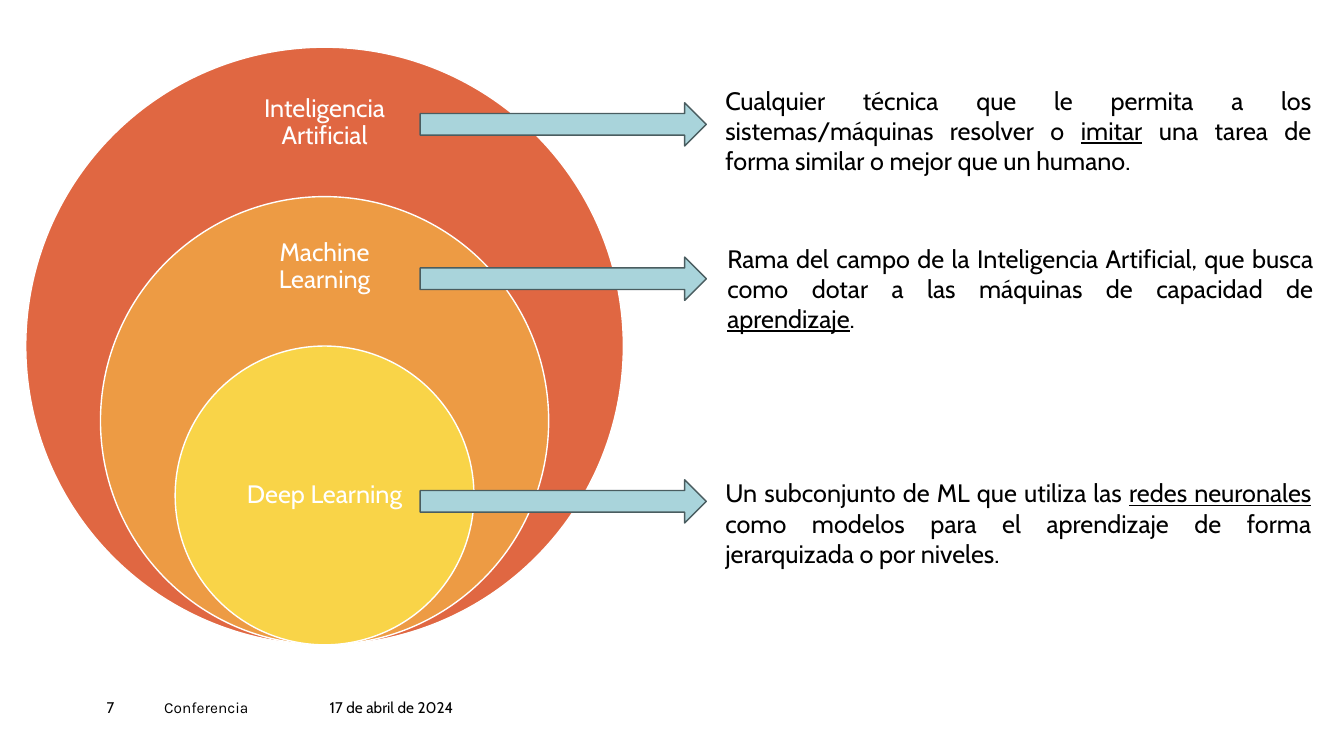
from dataclasses import dataclass

import pptx
import pptx.dml.color
import pptx.enum.shapes
import pptx.enum.text
import pptx.util
from pptx.util import Cm

SHAPE = pptx.enum.shapes.MSO_SHAPE
ALIGN = pptx.enum.text.PP_ALIGN
ANCHOR = pptx.enum.text.MSO_ANCHOR


@dataclass(frozen=True)
class Theme:
    outer: str = "E06742"
    middle: str = "ED9B44"
    inner: str = "F9D448"
    arrow: str = "A9D4DB"
    arrow_edge: str = "4A5D60"
    light: str = "FFFFFF"
    dark: str = "000000"
    font: str = "Cabin"
    footer_font: str = "Karla"
    body_size: int = 18
    footer_size: int = 11


THEME = Theme()

# label, circle colour, share of the outer diameter, label centre, label height
LEVELS = [
    ("Inteligencia Artificial", THEME.outer, 1, 3.09, 2.26),
    ("Machine Learning", THEME.middle, 0.75, 6.72, 2.11),
    ("Deep Learning", THEME.inner, 0.5, 12.47, 3.76),
]

# arrow top, text left, text top, text pieces (every second piece is underlined)
DEFINITIONS = [
    (2.59, 18.03, 2.01, [
        "Cualquier técnica que le permita a los sistemas/máquinas resolver o ",
        "imitar",
        " una tarea de forma similar o mejor que un humano. "]),
    (6.48, 18.08, 5.99, [
        "Rama del campo de la Inteligencia Artificial, que busca como dotar a "
        "las máquinas de capacidad de ",
        "aprendizaje",
        "."]),
    (12.09, 18.03, 11.91, [
        "Un subconjunto de ML que utiliza las ",
        "redes neuronales ",
        "como modelos para el aprendizaje de forma jerarquizada o por niveles."]),
]

FOOTER = [
    ("7", THEME.font, 1.45),
    ("Conferencia", THEME.footer_font, 4.17),
    ("17 de abril de 2024", THEME.font, 5.89),
]


def rgb(code):
    return pptx.dml.color.RGBColor.from_string(code)


def add_text(slide, pieces, left, top, width, height, *, font=THEME.font,
             size=THEME.body_size, color=THEME.dark, align=ALIGN.LEFT,
             anchor=ANCHOR.TOP, inset=(0, 0), line_spacing=1):
    """Add a one-paragraph text box; every second piece is underlined."""
    box = slide.shapes.add_textbox(Cm(left), Cm(top), Cm(width), Cm(height))
    frame = box.text_frame
    frame.word_wrap = True
    frame.vertical_anchor = anchor
    frame.margin_left = frame.margin_right = Cm(inset[0])
    frame.margin_top = frame.margin_bottom = Cm(inset[1])
    paragraph = frame.paragraphs[0]
    paragraph.alignment = align
    paragraph.line_spacing = line_spacing
    for index, piece in enumerate(pieces):
        run = paragraph.add_run()
        run.text = piece
        run.font.name = font
        run.font.size = pptx.util.Pt(size)
        run.font.color.rgb = rgb(color)
        run.font.underline = index % 2 == 1


def add_figure(slide, preset, left, top, width, height, fill, edge):
    figure = slide.shapes.add_shape(preset, Cm(left), Cm(top), Cm(width), Cm(height))
    figure.shadow.inherit = False
    figure.fill.solid()
    figure.fill.fore_color.rgb = rgb(fill)
    figure.line.color.rgb = rgb(edge)
    figure.line.width = pptx.util.Pt(1)


def draw_nested_circles(slide, left, top, diameter):
    """Draw circles that share their lowest point, each with its label."""
    middle, bottom = left + diameter / 2, top + diameter
    label_width = 5.26
    for label, color, share, label_middle, label_height in LEVELS:
        size = diameter * share
        add_figure(slide, SHAPE.OVAL, middle - size / 2, bottom - size,
                   size, size, color, THEME.light)
        add_text(slide, [label], middle - label_width / 2,
                 label_middle - label_height / 2, label_width, label_height,
                 color=THEME.light, align=ALIGN.CENTER, anchor=ANCHOR.MIDDLE,
                 inset=(0.36, 0.36), line_spacing=0.9)


def draw_definitions(slide, arrow_left, arrow_width, text_width):
    for arrow_top, text_left, text_top, pieces in DEFINITIONS:
        add_figure(slide, SHAPE.RIGHT_ARROW, arrow_left, arrow_top,
                   arrow_width, 1.09, THEME.arrow, THEME.arrow_edge)
        add_text(slide, pieces, text_left, text_top, text_width, 2.57,
                 align=ALIGN.JUSTIFY, inset=(0.25, 0.13))


def draw_footer(slide, left, top, height):
    for text, font, width in FOOTER:
        add_text(slide, [text], left, top, width, height,
                 font=font, size=THEME.footer_size)
        left += width


def main():
    deck = pptx.Presentation()
    deck.slide_width, deck.slide_height = Cm(33.87), Cm(19.05)
    slide = deck.slides.add_slide(deck.slide_layouts.get_by_name("Blank"))
    draw_footer(slide, left=2.69, top=17.58, height=0.69)
    draw_nested_circles(slide, left=0.65, top=1.19, diameter=15.06)
    draw_definitions(slide, arrow_left=10.59, arrow_width=7.21, text_width=15.27)
    deck.save("out.pptx")


if __name__ == "__main__":
    main()
